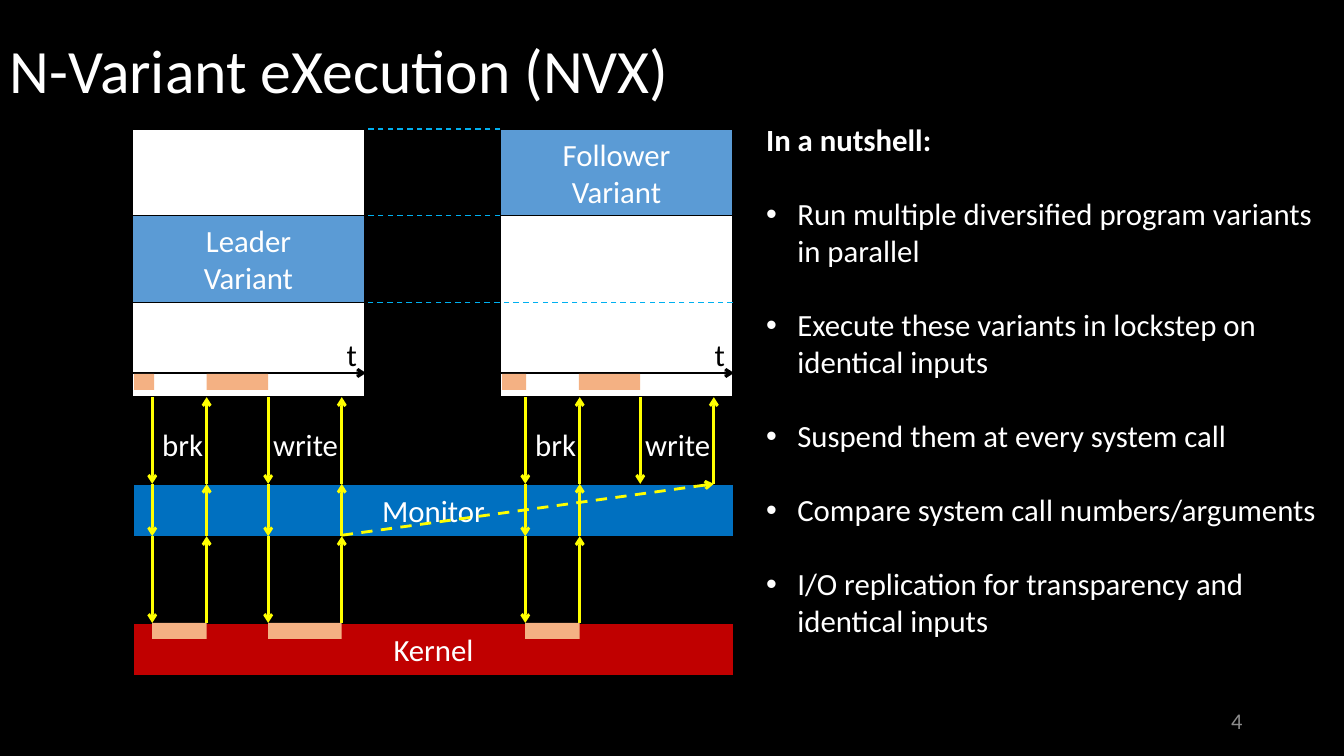
"""Build the slide on N-Variant eXecution."""
import pptx
import pptx.dml.color
import pptx.enum.dml
import pptx.enum.shapes
import pptx.enum.text
import pptx.oxml.xmlchemy
import pptx.util
from lxml import etree
from pptx.oxml.ns import qn
from pptx.util import Inches

HUES = {"black": "000000", "white": "FFFFFF", "variant": "5B9BD5",
        "monitor": "0070C0", "kernel": "C00000", "work": "F4B183",
        "call": "FFFF00", "sync": "00B0F0", "page": "8C8C8C"}
LEVELS = [3.94, 4.8, 5.32, 6.18]
ALIGN = pptx.enum.text.PP_ALIGN
ANCHOR = pptx.enum.text.MSO_ANCHOR
POINTS = ["Run multiple diversified program variants in parallel",
          "Execute these variants in lockstep on identical inputs",
          "Suspend them at every system call",
          "Compare system call numbers/arguments",
          "I/O replication for transparency and identical inputs"]


def color(name):
    return pptx.dml.color.RGBColor.from_string(HUES[name])


def bullet(para):
    props = para._p.get_or_add_pPr()
    props.set("marL", str(Inches(0.31)))
    props.set("indent", str(-Inches(0.31)))
    etree.SubElement(props, qn("a:buFont")).set("typeface", "Arial")
    etree.SubElement(props, qn("a:buChar")).set("char", "•")


def write(frame, *texts, size=22, hue="white", bold=False, align=ALIGN.LEFT,
          anchor=ANCHOR.TOP, wrap=True, after=0, spacing=None):
    frame.word_wrap = wrap
    frame.vertical_anchor = anchor
    for i, text in enumerate(texts):
        para = frame.add_paragraph() if i else frame.paragraphs[0]
        para.text = text
        para.alignment = align
        para.space_after = pptx.util.Pt(after)
        para.line_spacing = spacing
        for run in para.runs:
            font = run.font
            font.name = "Calibri"
            font.size = pptx.util.Pt(size)
            font.bold = bold
            font.color.rgb = color(hue)
    return frame.paragraphs


def label(slide, x, y, w, h, *texts, **style):
    box = slide.shapes.add_textbox(Inches(x), Inches(y), Inches(w), Inches(h))
    return write(box.text_frame, *texts, **style)


def block(slide, x, y, w, h, hue, *texts, edge=True):
    rect = pptx.enum.shapes.MSO_SHAPE.RECTANGLE
    shape = slide.shapes.add_shape(rect, Inches(x), Inches(y), Inches(w), Inches(h))
    shape.shadow.inherit = False
    shape.fill.solid()
    shape.fill.fore_color.rgb = color(hue)
    if edge:
        shape.line.color.rgb = color("black")
        shape.line.width = pptx.util.Pt(1)
    else:
        shape.line.fill.background()
    if texts:
        write(shape.text_frame, *texts, align=ALIGN.CENTER, anchor=ANCHOR.MIDDLE)


def line(slide, x1, y1, x2, y2, hue, width=2, dash=False, arrow=True):
    kind = pptx.enum.shapes.MSO_CONNECTOR.STRAIGHT
    link = slide.shapes.add_connector(kind, Inches(x1), Inches(y1), Inches(x2), Inches(y2))
    link.line.color.rgb = color(hue)
    link.line.width = pptx.util.Pt(width)
    if dash:
        link.line.dash_style = pptx.enum.dml.MSO_LINE.DASH
    if arrow:
        stroke = link.line._get_or_add_ln()
        etree.SubElement(stroke, qn("a:tailEnd")).set("type", "arrow")
    etree.SubElement(link._element.spPr, qn("a:effectLst"))


def variant(slide, x, top, *name):
    block(slide, x, 1.28, 2.31, 2.66, "white")
    block(slide, x, top, 2.31, 0.86, "variant", *name)
    line(slide, x, 3.7, x + 2.32, 3.7, "black")
    label(slide, x + 2.03, 3.28, 0.31, 0.47, "t", hue="black", wrap=False)


def syscall(slide, name, start, end, shift, width, levels):
    for high, low in zip(levels, levels[1:]):
        line(slide, start, high, start, low, "call")
        line(slide, end, low, end, high, "call")
    label(slide, start + shift, 4.17, width, 0.47, name, wrap=False)
    if levels[-1] == LEVELS[-1]:
        block(slide, start, 6.18, end - start, 0.16, "work", edge=False)


def main():
    deck = pptx.Presentation()
    deck.slide_width = Inches(13.33)
    deck.slide_height = Inches(7.5)
    slide = deck.slides.add_slide(deck.slide_layouts[6])
    slide.background.fill.solid()
    slide.background.fill.fore_color.rgb = color("black")

    label(slide, 0, 0, 12.16, 1.45, "N-Variant eXecution (NVX)",
          size=44, anchor=ANCHOR.MIDDLE, spacing=0.9)
    variant(slide, 4.96, 1.28, "Follower\vVariant")
    variant(slide, 1.31, 2.14, "Leader", "Variant")
    for y, right in [(1.28, 4.96), (2.14, 4.96), (3, 7.27)]:
        line(slide, right, y, 3.62, y, "sync", width=1, dash=True, arrow=False)
    block(slide, 1.32, 4.8, 5.96, 0.52, "monitor", "Monitor")
    block(slide, 1.32, 6.18, 5.96, 0.52, "kernel", "Kernel")

    for x, w in [(1.33, 0.2), (2.05, 0.61), (4.98, 0.24), (5.74, 0.61)]:
        block(slide, x, 3.71, w, 0.16, "work", edge=False)
    syscall(slide, "brk", 1.51, 2.05, 0, 0.61, LEVELS)
    syscall(slide, "write", 2.66, 3.39, -0.05, 0.85, LEVELS)
    syscall(slide, "brk", 5.21, 5.75, 0, 0.61, LEVELS)
    syscall(slide, "write", 6.35, 7.08, -0.05, 0.85, LEVELS[:2])
    line(slide, 3.39, 5.31, 7.08, 4.8, "call", dash=True)

    paras = label(slide, 7.5, 1.15, 5.71, 5.89, "In a nutshell:", *POINTS, after=26.5)
    paras[0].runs[0].font.bold = True
    for para in paras[1:]:
        bullet(para)
    label(slide, 9.42, 6.95, 3, 0.4, "4", size=16, hue="page",
          align=ALIGN.RIGHT, anchor=ANCHOR.MIDDLE)
    deck.save("out.pptx")


if __name__ == "__main__":
    main()
